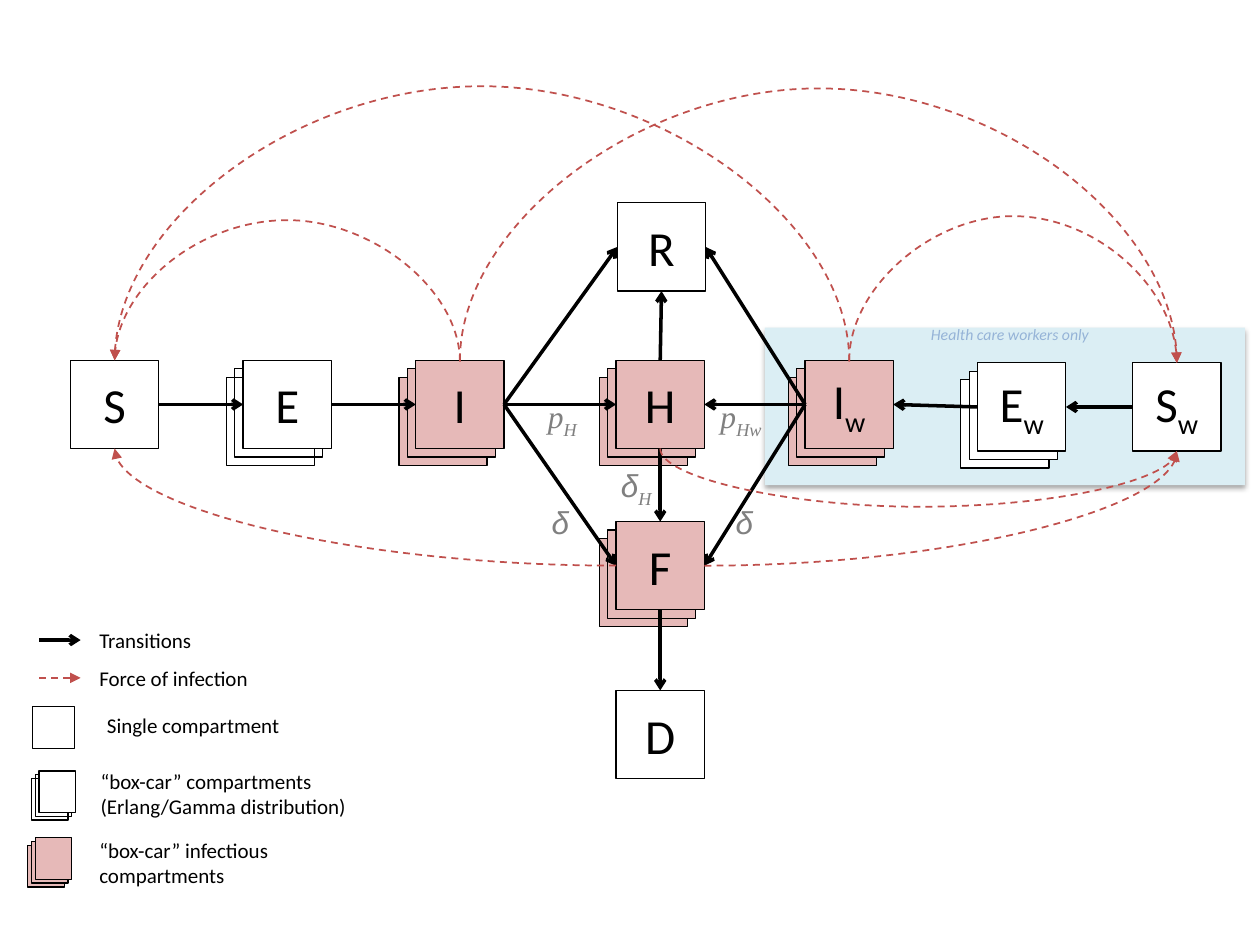
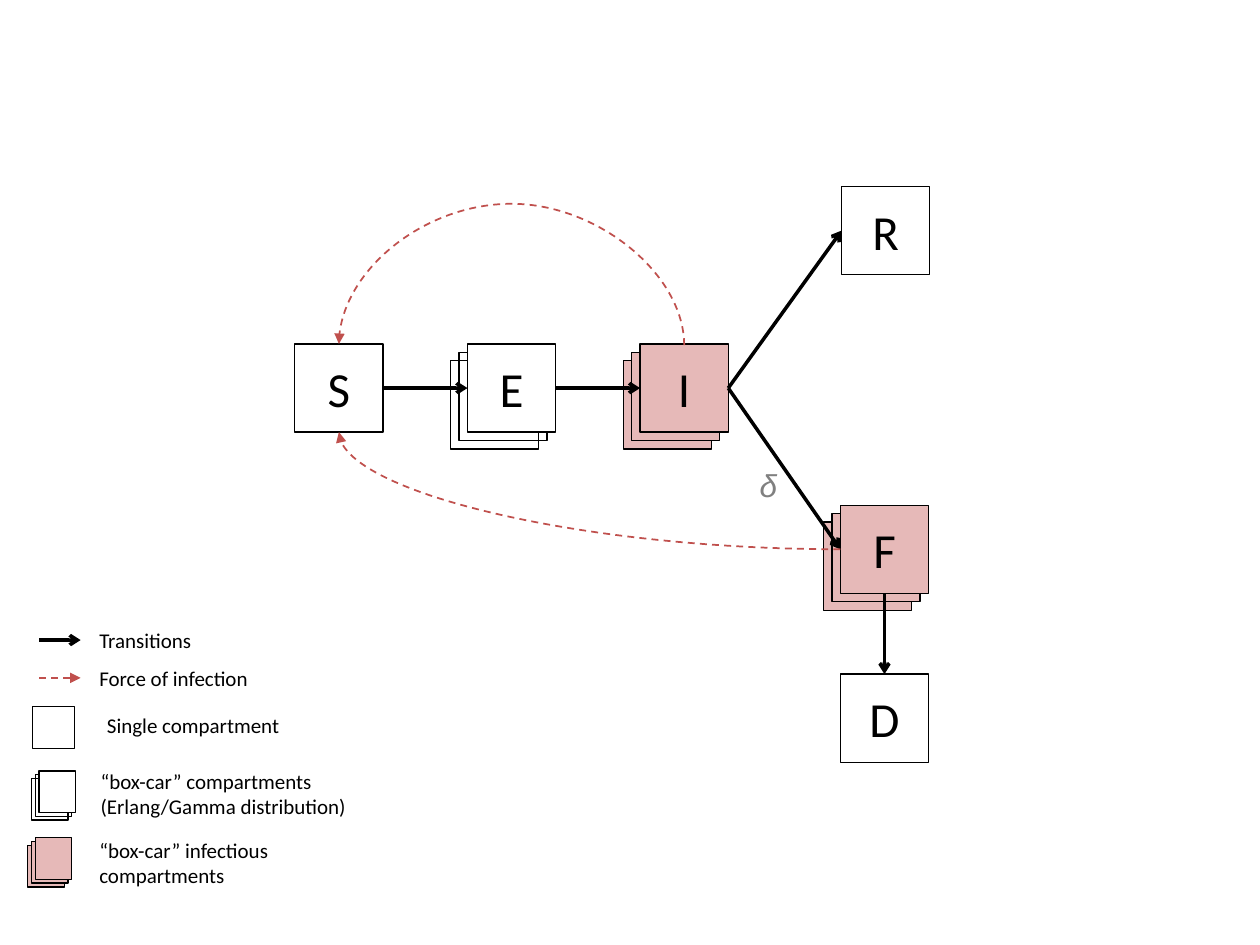
import pptx
import pptx.util
import pptx.dml.color
import pptx.enum.dml
import pptx.enum.shapes
import pptx.enum.text
import pptx.oxml
import pptx.oxml.ns
from pptx.util import Inches

COLORS = {"ink": "000000", "white": "FFFFFF", "infectious": "E6B9B8",
          "force": "C0504D", "panel": "DBEEF4", "caption": "95B3D7", "rate": "808080"}
BODY, SERIF, SANS = "Calibri", "Times New Roman", "Arial"
BOX, STEP = 0.7, 0.067

# Compartments: letter, subscript, left, top, fill, fill of the cards behind (False: single box)
NODES = {
    "S": ("S", "", 0.56, 2.86, None, False),
    "E": ("E", "", 1.93, 2.86, "white", None),
    "I": ("I", "", 3.3, 2.86, "infectious", "infectious"),
    "H": ("H", "", 4.89, 2.86, "infectious", "infectious"),
    "F": ("F", "", 4.89, 4.14, "infectious", "infectious"),
    "Sw": ("S", "w", 8.99, 2.88, "white", False),
    "Ew": ("E", "w", 7.76, 2.88, "white", "white"),
    "Iw": ("I", "w", 6.39, 2.86, "infectious", "infectious"),
    "R": ("R", "", 4.9, 1.61, None, False),
    "D": ("D", "", 4.89, 5.48, None, False),
}

# Transitions: start, its side, end, its side
TRANSITIONS = [
    ("S", "right", "E", "left"), ("E", "right", "I", "left"), ("I", "right", "H", "left"),
    ("I", "right", "R", "left"), ("I", "right", "F", "left"), ("H", "top", "R", "bottom"),
    ("H", "bottom", "F", "top"), ("F", "bottom", "D", "top"), ("Iw", "left", "H", "right"),
    ("Ew", "left", "Iw", "right"), ("Sw", "left", "Ew", "right"),
    ("Iw", "left", "R", "right"), ("Iw", "left", "F", "right"),
]

# Forces of infection: the same, then the height of the turning point (None: quarter curve)
FORCES = [
    ("I", "top", "S", "top", 1.73), ("I", "top", "Sw", "top", 0.71),
    ("F", "left", "S", "bottom", None), ("F", "right", "Sw", "bottom", None),
    ("Iw", "top", "Sw", "top", 1.72), ("H", "bottom", "Sw", "bottom", 4.02),
    ("Iw", "top", "S", "top", 0.65),
]

# Rates: symbol, subscript, symbol font, left, top, width
SLIDES = [
    {"nodes": list(NODES), "shift": (0, 0), "workers": True, "rates": [
        ("p", "H", SERIF, 4.25, 3.1, 0.52), ("p", "Hw", SERIF, 5.62, 3.1, 0.64),
        ("δ", "H", SANS, 4.83, 3.65, 0.52), ("δ", "", SANS, 4.28, 3.94, 0.4),
        ("δ", "", SANS, 5.74, 3.94, 0.4)]},
    {"nodes": list("SEIFRD"), "shift": (1.78, -0.13), "workers": False, "rates": [
        ("δ", "", SANS, 5.93, 3.65, 0.4)]},
]

# Legend: lines of text, left, top, width, height
LEGEND = [
    (["Transitions"], 0.69, 4.93, 0.96, 0.3),
    (["Force of infection"], 0.69, 5.23, 1.4, 0.3),
    (["Single compartment"], 0.75, 5.61, 1.59, 0.3),
    (["“box-car” compartments", "(Erlang/Gamma distribution)"], 0.7, 6.05, 2.17, 0.5),
    (["“box-car” infectious", "compartments"], 0.69, 6.6, 1.56, 0.5),
]


def color(name):
    return pptx.dml.color.RGBColor.from_string(COLORS[name])


def add_xml(parent, xml):
    parent.append(pptx.oxml.parse_xml(xml.replace(" ", f" {pptx.oxml.ns.nsdecls('a')} ", 1)))


def add_span(para, text, font, size, ink, italic=False, subscript=False):
    span = para.add_run()
    span.text = text
    span.font.name, span.font.size = font, pptx.util.Pt(size)
    span.font.color.rgb = color(ink)
    if italic:
        span.font.italic = True
    if subscript:
        span.font._element.set("baseline", "-25000")


def add_text(page, left, top, width, height, wrap=False):
    box = page.shapes.add_textbox(*map(Inches, (left, top, width, height)))
    box.text_frame.word_wrap = wrap
    box.text_frame.auto_size = pptx.enum.text.MSO_AUTO_SIZE.SHAPE_TO_FIT_TEXT
    return box.text_frame


def add_box(shapes, left, top, width, height, fill, outlined=True):
    box = shapes.add_shape(pptx.enum.shapes.MSO_SHAPE.RECTANGLE,
                           *map(Inches, (left, top, width, height)))
    box.shadow.inherit = False
    if fill:
        box.fill.solid()
        box.fill.fore_color.rgb = color(fill)
    else:
        box.fill.background()
    if outlined:
        box.line.color.rgb = color("ink")
        box.line.width = pptx.util.Pt(0.75)
    else:
        box.line.fill.background()
    return box


def add_stack(page, left, top, width, height, step, fill, back):
    """Three cards, each a step right of and above the one behind; returns the front one."""
    group = page.shapes.add_group_shape()
    for depth in (2, 1, 0):
        card = add_box(group.shapes, left - depth * step, top + depth * step,
                       width, height, back if depth else fill)
    return card


def add_arrow(page, start, end, force=False, kind="STRAIGHT"):
    arrow = page.shapes.add_connector(getattr(pptx.enum.shapes.MSO_CONNECTOR, kind),
                                      *map(Inches, (*start, *end)))
    arrow.line.color.rgb = color("force" if force else "ink")
    arrow.line.width = pptx.util.Pt(1 if force else 2)
    if force:
        arrow.line.dash_style = pptx.enum.dml.MSO_LINE.DASH
    add_xml(arrow.line._get_or_add_ln(), f'<a:tailEnd type="{"triangle" if force else "arrow"}"/>')
    add_xml(arrow._element.spPr, "<a:effectLst />")
    return arrow


def add_curve(page, start, end, turn):
    (x1, y1), (x2, y2) = start, end
    if turn is None:
        arrow = add_arrow(page, start, end, True, "CURVE")
        arrow._element.spPr.find(pptx.oxml.ns.qn("a:prstGeom")).set("prst", "curvedConnector2")
        return
    # An arc is an S-curve turned by 270 degrees, so its frame has the sides swapped
    if abs(y2 - y1) < 0.01:
        y1 += 0.01
    mid_x, mid_y = (x1 + x2) / 2, (y1 + y2) / 2
    half_w, half_h = (y1 - y2) / 2, (x2 - x1) / 2
    arrow = add_arrow(page, (mid_x - half_w, mid_y - half_h),
                      (mid_x + half_w, mid_y + half_h), True, "CURVE")
    properties = arrow._element.spPr
    properties.find(pptx.oxml.ns.qn("a:xfrm")).set("rot", str(270 * 60000))
    guides = properties.find(pptx.oxml.ns.qn("a:prstGeom")).get_or_add_avLst()
    ratio = round((turn - y1) / (y2 - y1) * 100000)
    add_xml(guides, f'<a:gd name="adj1" fmla="val {ratio}"/>')


def add_panel(page):
    panel = add_box(page.shapes, 6.07, 2.6, 3.81, 1.25, "panel", outlined=False)
    effects = panel._element.spPr.find(pptx.oxml.ns.qn("a:effectLst"))
    add_xml(effects, '<a:outerShdw blurRad="39370" dist="22860" dir="5400000" rotWithShape="0">'
                     f'<a:srgbClr val="{COLORS["ink"]}"><a:alpha val="35000"/></a:srgbClr>'
                     '</a:outerShdw>')


def add_legend(page):
    add_arrow(page, (0.31, 5.08), (0.64, 5.08))
    add_arrow(page, (0.31, 5.38), (0.64, 5.38), force=True)
    add_box(page.shapes, 0.26, 5.61, 0.33, 0.33, None)
    add_stack(page, 0.31, 6.12, 0.29, 0.33, 0.03, "white", None)
    add_stack(page, 0.28, 6.65, 0.29, 0.33, 0.03, "infectious", "infectious")
    for lines, *place in LEGEND:
        frame = add_text(page, *place)
        for number, line in enumerate(lines):
            para = frame.add_paragraph() if number else frame.paragraphs[0]
            add_span(para, line, BODY, 12, "ink")


def add_node(page, letter, subscript, left, top, fill, back):
    if back is False:
        box = add_box(page.shapes, left, top, BOX, BOX, fill)
    else:
        box = add_stack(page, left, top, BOX, BOX, STEP, fill, back)
    box.text_frame.vertical_anchor = pptx.enum.text.MSO_ANCHOR.MIDDLE
    para = box.text_frame.paragraphs[0]
    para.alignment = pptx.enum.text.PP_ALIGN.CENTER
    add_span(para, letter, BODY, 28, "ink")
    if subscript:
        add_span(para, subscript, BODY, 28, "ink", subscript=True)


def build_slide(deck, content):
    page = deck.slides.add_slide(deck.slide_layouts[6])
    shift_x, shift_y = content["shift"]
    shown = content["nodes"]

    def anchor(name, side):
        across, down = {"left": (0, 0.5), "right": (1, 0.5),
                        "top": (0.5, 0), "bottom": (0.5, 1)}[side]
        left, top = NODES[name][2:4]
        return left + shift_x + across * BOX, top + shift_y + down * BOX

    if content["workers"]:
        add_panel(page)
    for name in shown:
        letter, subscript, left, top, fill, back = NODES[name]
        add_node(page, letter, subscript, left + shift_x, top + shift_y, fill, back)

    # Only arrows between compartments on this slide
    for start, side, end, end_side in TRANSITIONS:
        if start in shown and end in shown:
            add_arrow(page, anchor(start, side), anchor(end, end_side))
    for start, side, end, end_side, turn in FORCES:
        if start in shown and end in shown:
            add_curve(page, anchor(start, side), anchor(end, end_side),
                      None if turn is None else turn + shift_y)

    add_legend(page)
    if content["workers"]:
        caption = add_text(page, 7.29, 2.53, 1.62, 0.25, wrap=True)
        add_span(caption.paragraphs[0], "Health care workers only", BODY, 9, "caption", italic=True)
    for symbol, subscript, font, left, top, width in content["rates"]:
        para = add_text(page, left, top, width, 0.4).paragraphs[0]
        add_span(para, symbol, font, 18, "rate", italic=True)
        if subscript:
            add_span(para, subscript, SERIF, 18, "rate", italic=True, subscript=True)


deck = pptx.Presentation()
deck.slide_width, deck.slide_height = Inches(10), Inches(7.5)
for content in SLIDES:
    build_slide(deck, content)
deck.save("out.pptx")
